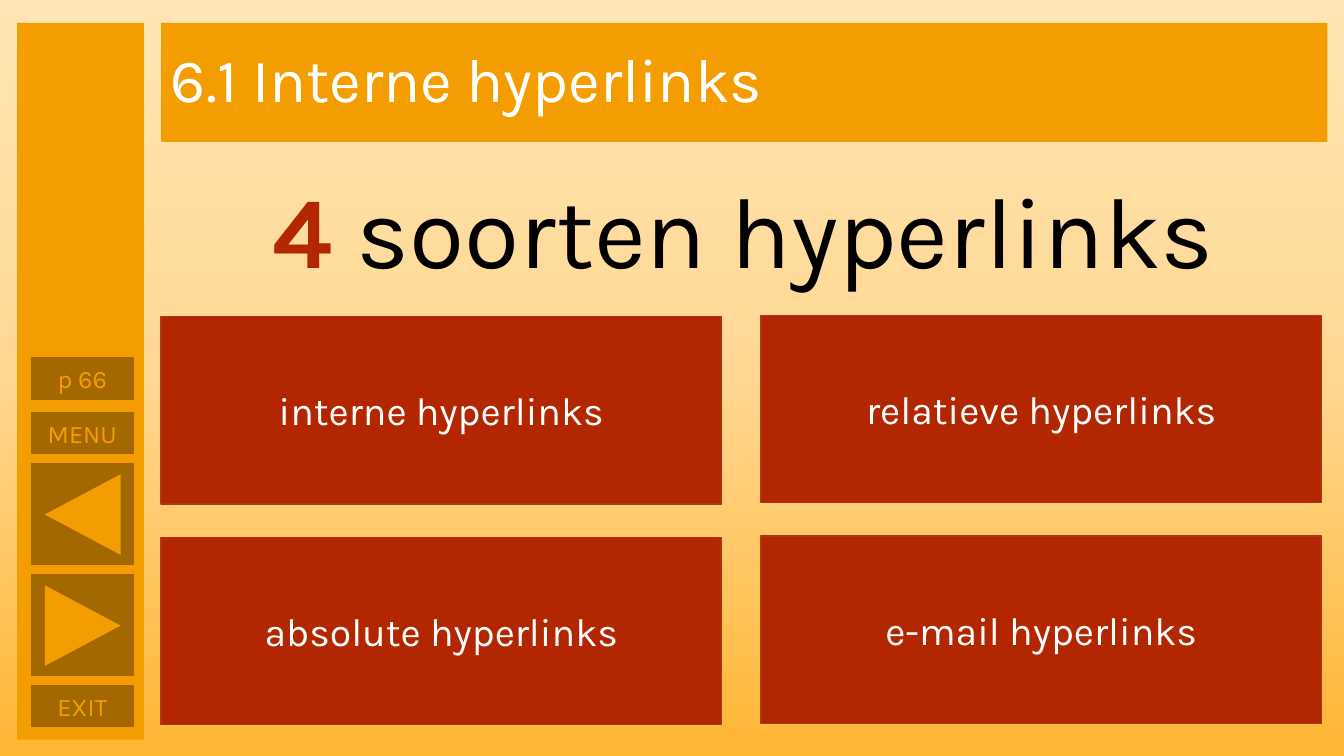
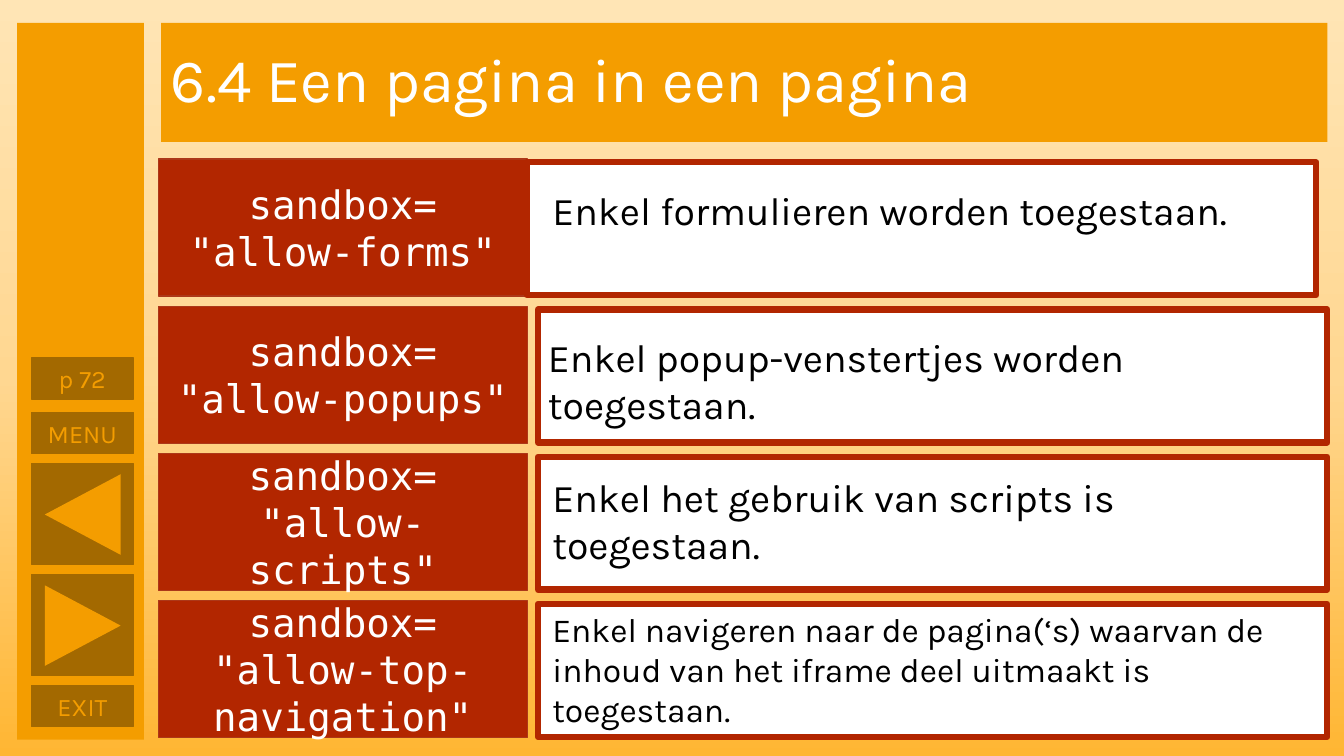
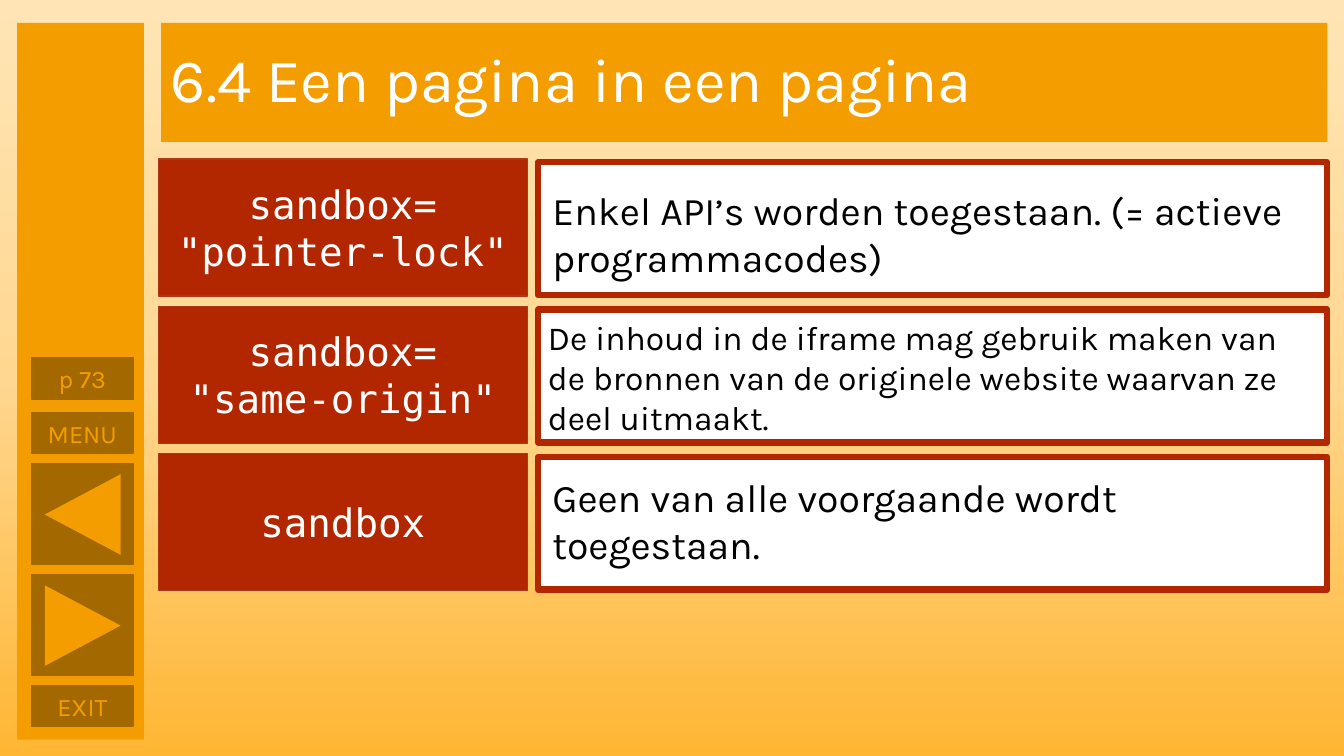
from dataclasses import dataclass
import copy

import pptx
import pptx.dml.color
import pptx.enum.shapes
import pptx.enum.text
import pptx.presentation
import pptx.shapes.autoshape
import pptx.slide
import pptx.text.text
import pptx.util
from pptx.util import Cm

COLORS = {
    "orange": "F49D00",
    "brown": "A36900",
    "red": "B22600",
    "red_edge": "AC3819",
    "white": "FFFFFF",
    "black": "000000",
}
BACKGROUND_STOPS = [(0, "FFE5B5"), (0.5, "FFD791"), (1, "FFB633")]
BODY_FONT = "Karla"
CODE_FONT = "DejaVu Sans Mono"
ALIGN = pptx.enum.text.PP_ALIGN
SHAPE = pptx.enum.shapes.MSO_SHAPE


@dataclass(frozen=True)
class Box:
    """A position and size in centimetres."""
    left: float
    top: float
    width: float
    height: float

    def lengths(self) -> tuple[Cm, Cm, Cm, Cm]:
        return Cm(self.left), Cm(self.top), Cm(self.width), Cm(self.height)


@dataclass(frozen=True)
class TextStyle:
    size: float
    color: str
    font: str = BODY_FONT
    align: ALIGN = ALIGN.LEFT
    line_spacing: float | None = None


@dataclass(frozen=True)
class Button:
    top: float
    height: float
    label: str = ""
    arrow_rotation: int | None = None


@dataclass(frozen=True)
class AttributeRow:
    """One sandbox value and its explanation; text_offset counts from the row top."""
    code: list[str]
    explanation: str
    text_offset: float
    text_height: float = 2.64
    size: float = 28
    text_left: float = 13.67
    frame_left: float = 13.56


TITLE_BOX = Box(4.06, 0.58, 29.39, 3)
SIDEBAR_BOX = Box(0.43, 0.58, 3.2, 18.06)
BUTTON_LEFT, BUTTON_WIDTH = 0.79, 2.57
BUTTON_HEIGHT, ARROW_BUTTON_HEIGHT = 1.04, 2.54
PAGE_TOP = 9.02
NAVIGATION = [
    Button(10.39, BUTTON_HEIGHT, "MENU"),
    Button(11.68, ARROW_BUTTON_HEIGHT, arrow_rotation=270),
    Button(14.48, ARROW_BUTTON_HEIGHT, arrow_rotation=90),
    Button(17.27, BUTTON_HEIGHT, "EXIT"),
]
TITLE_STYLE = TextStyle(44, "white", line_spacing=0.9)
BUTTON_STYLE = TextStyle(18, "orange", align=ALIGN.CENTER)
TILE_STYLE = TextStyle(28, "white", align=ALIGN.CENTER)
CODE_STYLE = TextStyle(28, "white", CODE_FONT, ALIGN.CENTER)

LINK_KINDS = [
    ["interne hyperlinks", "relatieve hyperlinks"],
    ["absolute hyperlinks", "e-mail hyperlinks"],
]
PERMISSIONS = [
    AttributeRow(["sandbox=", '"allow-forms"'], "Enkel formulieren worden toegestaan.",
                 0.56, text_height=1.45, frame_left=13.28),
    AttributeRow(["sandbox=", '"allow-popups"'],
                 "Enkel popup-venstertjes worden toegestaan.", 0.56, text_left=13.56),
    AttributeRow(["sandbox=", '"allow-scripts"'],
                 "Enkel het gebruik van scripts is toegestaan.", 0.36),
    AttributeRow(["sandbox=", '"allow-top-', 'navigation"'],
                 "Enkel navigeren naar de pagina(‘s) waarvan de inhoud van het iframe "
                 "deel uitmaakt is toegestaan.", 0.07, text_height=3.33, size=24),
]
MORE_PERMISSIONS = [
    AttributeRow(["sandbox=", '"pointer-lock"'],
                 "Enkel API’s worden toegestaan. (= actieve programmacodes)", 0.56),
    AttributeRow(["sandbox=", '"same-origin"'],
                 "De inhoud in de iframe mag gebruik maken van de bronnen van de originele "
                 "website waarvan ze deel uitmaakt.", 0.13, text_height=3.33, size=24,
                 text_left=13.56),
    AttributeRow(["sandbox"], "Geen van alle voorgaande wordt toegestaan.", 0.36),
]


def rgb(name: str) -> pptx.dml.color.RGBColor:
    return pptx.dml.color.RGBColor.from_string(COLORS[name])


def write_lines(frame: pptx.text.text.TextFrame, lines: list[str], style: TextStyle) -> None:
    frame.word_wrap = True
    for index, line in enumerate(lines):
        paragraph = frame.add_paragraph() if index else frame.paragraphs[0]
        paragraph.text = line
        paragraph.alignment = style.align
        paragraph.line_spacing = style.line_spacing
        paragraph.font.size = pptx.util.Pt(style.size)
        paragraph.font.name = style.font
        paragraph.font.color.rgb = rgb(style.color)


def add_block(slide: pptx.slide.Slide, box: Box, fill: str, line: str | None = None,
              line_width: float = 1, kind: SHAPE = SHAPE.RECTANGLE
              ) -> pptx.shapes.autoshape.Shape:
    shape = slide.shapes.add_shape(kind, *box.lengths())
    shape.shadow.inherit = False
    shape.fill.solid()
    shape.fill.fore_color.rgb = rgb(fill)
    if line:
        shape.line.color.rgb = rgb(line)
        shape.line.width = pptx.util.Pt(line_width)
    else:
        shape.line.fill.background()
    shape.text_frame.vertical_anchor = pptx.enum.text.MSO_ANCHOR.MIDDLE
    return shape


def add_text_box(slide: pptx.slide.Slide, box: Box, text: str,
                 style: TextStyle) -> pptx.text.text.TextFrame:
    frame = slide.shapes.add_textbox(*box.lengths()).text_frame
    write_lines(frame, [text], style)
    frame.auto_size = pptx.enum.text.MSO_AUTO_SIZE.SHAPE_TO_FIT_TEXT
    return frame


def add_button(slide: pptx.slide.Slide, button: Button) -> None:
    box = Box(BUTTON_LEFT, button.top, BUTTON_WIDTH, button.height)
    shape = add_block(slide, box, "brown", "brown")
    if button.label:
        write_lines(shape.text_frame, [button.label], BUTTON_STYLE)
    if button.arrow_rotation is not None:
        arrow_box = Box(1.07, button.top + 0.33, 2.03, 1.91)
        arrow = add_block(slide, arrow_box, "orange", kind=SHAPE.ISOSCELES_TRIANGLE)
        arrow.rotation = button.arrow_rotation


def set_background(presentation: pptx.presentation.Presentation) -> None:
    """Give the slide master the gradient that every slide inherits."""
    master = presentation.slide_master
    fill = master.background.fill
    fill.gradient()
    fill.gradient_angle = 270
    stop_list = master.element.xpath("./p:cSld/p:bg//a:gsLst")[0]
    stop_list.insert(1, copy.deepcopy(stop_list[0]))
    for stop, (position, color) in zip(fill.gradient_stops, BACKGROUND_STOPS):
        stop.position = position
        stop.color.rgb = pptx.dml.color.RGBColor.from_string(color)


def add_course_slide(presentation: pptx.presentation.Presentation, title: str,
                     page: int) -> pptx.slide.Slide:
    """Add a slide with its title band and navigation sidebar."""
    slide = presentation.slides.add_slide(presentation.slide_layouts[6])
    title_band = add_block(slide, TITLE_BOX, "orange")
    write_lines(title_band.text_frame, [title], TITLE_STYLE)
    add_block(slide, SIDEBAR_BOX, "orange")
    for button in [Button(PAGE_TOP, BUTTON_HEIGHT, f"p {page}"), *NAVIGATION]:
        add_button(slide, button)
    return slide


def add_link_kinds(slide: pptx.slide.Slide) -> None:
    for row, labels in enumerate(LINK_KINDS):
        for column, label in enumerate(labels):
            box = Box(4.06 + 15.12 * column, 7.98 + 5.56 * row - 0.03 * column, 14.12, 4.72)
            tile = add_block(slide, box, "red", "red_edge")
            write_lines(tile.text_frame, [label], TILE_STYLE)
    frame = add_text_box(slide, Box(6.63, 4.09, 24.89, 3.33), "", TextStyle(72, "black"))
    paragraph = frame.paragraphs[0]
    for text, color, bold in [("4", "red", True), (" soorten hyperlinks", "black", False)]:
        run = paragraph.add_run()
        run.text = text
        run.font.bold = bold
        run.font.color.rgb = rgb(color)


def add_attribute_rows(slide: pptx.slide.Slide, rows: list[AttributeRow]) -> None:
    for index, row in enumerate(rows):
        top = 4.01 + 3.71 * index
        label = add_block(slide, Box(3.99, top, 9.3, 3.45), "red", "red_edge")
        write_lines(label.text_frame, row.code, CODE_STYLE)
        add_block(slide, Box(row.frame_left, top + 0.08, 19.89, 3.35), "white", "red", 4.5)
        text_box = Box(row.text_left, top + row.text_offset, 19.79, row.text_height)
        add_text_box(slide, text_box, row.explanation, TextStyle(row.size, "black"))


def main() -> None:
    presentation = pptx.Presentation()
    presentation.slide_width = Cm(33.87)
    presentation.slide_height = Cm(19.05)
    set_background(presentation)
    add_link_kinds(add_course_slide(presentation, "6.1 Interne hyperlinks", 66))
    for page, rows in [(72, PERMISSIONS), (73, MORE_PERMISSIONS)]:
        slide = add_course_slide(presentation, "6.4 Een pagina in een pagina", page)
        add_attribute_rows(slide, rows)
    presentation.save("out.pptx")


if __name__ == "__main__":
    main()
